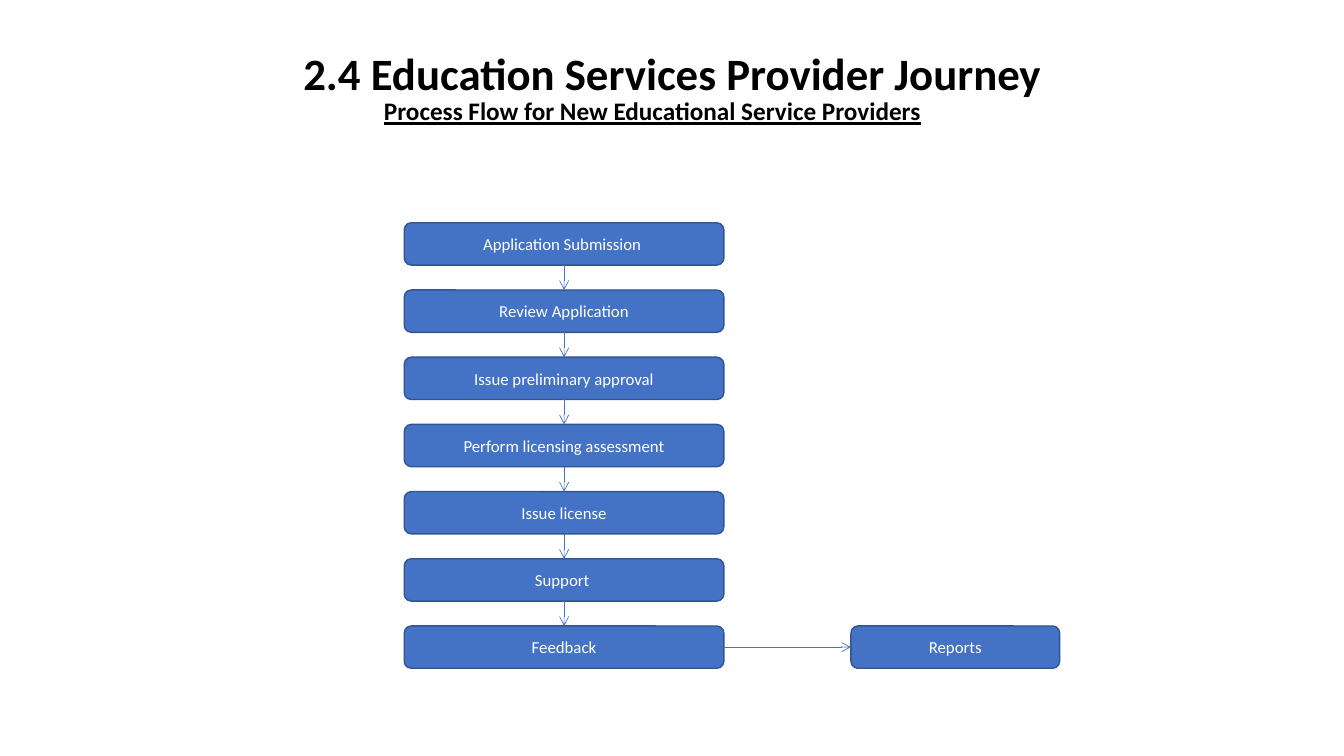
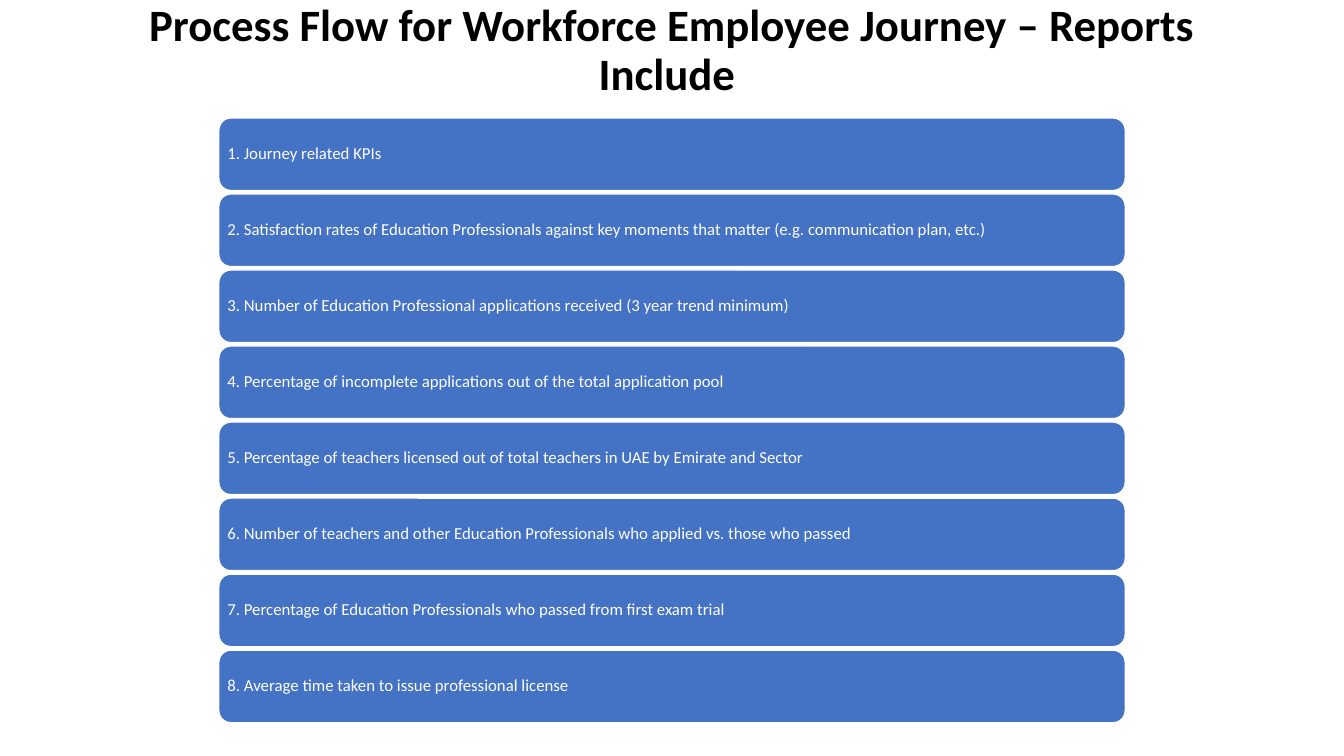
from dataclasses import dataclass

from lxml import etree
from pptx import Presentation, util as u
from pptx.dml.color import RGBColor
from pptx.enum import shapes, text
from pptx.oxml.ns import qn


@dataclass(frozen=True)
class Theme:
    font: str = "Calibri"
    blue: str = "4472C4"
    navy: str = "325491"
    white: str = "FFFFFF"
    black: str = "000000"
    head: int = 32
    sub: int = 18
    body: int = 12


theme = Theme()


def write(shape, words, size=theme.body, color=theme.white, bold=False, under=False,
          align=text.PP_ALIGN.CENTER, anchor=text.MSO_ANCHOR.MIDDLE,
          pad=(0.1, 0.05), space=1.0, wrap=True):
    frame = shape.text_frame
    frame.word_wrap = wrap
    frame.vertical_anchor = anchor
    frame.margin_left = frame.margin_right = u.Inches(pad[0])
    frame.margin_top = frame.margin_bottom = u.Inches(pad[1])
    para = frame.paragraphs[0]
    para.alignment = align
    para.line_spacing = space
    run = para.add_run()
    run.text = words
    font = run.font
    font.name, font.size = theme.font, u.Pt(size)
    font.bold, font.underline = bold, under
    font.color.rgb = RGBColor.from_string(color)


def card(page, words, at, edge, **style):
    box = page.shapes.add_shape(shapes.MSO_SHAPE.ROUNDED_RECTANGLE, *map(u.Inches, at))
    box.shadow.inherit = False
    box.fill.solid()
    box.fill.fore_color.rgb = RGBColor.from_string(theme.blue)
    box.line.color.rgb = RGBColor.from_string(edge)
    box.line.width = u.Pt(1)
    write(box, words, **style)
    return box


deck = Presentation()
deck.slide_width, deck.slide_height = u.Inches(13.33), u.Inches(7.5)

heads = [
    ("2.4 Education Services Provider Journey", 0.92, 11.5),
    ("Process Flow for Workforce Employee Journey – Reports Include ", 0.78, 11.77),
]
pages = []
for words, left, width in heads:
    page = deck.slides.add_slide(deck.slide_layouts[6])
    title = page.shapes.add_textbox(*map(u.Inches, (left, 0, width, 1.04)))
    write(title, words, size=theme.head, color=theme.black, bold=True,
          anchor=text.MSO_ANCHOR.BOTTOM, space=0.9)
    pages.append(page)
flow, list_page = pages

sub = flow.shapes.add_textbox(*map(u.Inches, (3.71, 0.9, 5.57, 0.4)))
write(sub, "Process Flow for New Educational Service Providers", size=theme.sub,
      color=theme.black, bold=True, under=True, align=text.PP_ALIGN.LEFT,
      anchor=text.MSO_ANCHOR.TOP, wrap=False)

steps = [
    "Application Submission ",
    "Review Application",
    "Issue preliminary approval",
    "Perform licensing assessment",
    "Issue license",
    "Support ",
    "Feedback",
]
top, last, high = 2.21, 6.21, 0.42
pitch = (last - top) / (len(steps) - 1)
boxes = [card(flow, words, (4.01, top + i * pitch, 3.17, high), theme.navy)
         for i, words in enumerate(steps)]
report = card(flow, "Reports", (8.44, last, 2.07, high), theme.navy)

links = [(a, 2, b, 0) for a, b in zip(boxes, boxes[1:])]
links.append((boxes[-1], 3, report, 1))
for start, out, end, into in links:
    arrow = flow.shapes.add_connector(shapes.MSO_CONNECTOR.STRAIGHT, 0, 0, 0, 0)
    arrow.begin_connect(start, out)
    arrow.end_connect(end, into)
    arrow.line.color.rgb = RGBColor.from_string(theme.blue)
    arrow.line.width = u.Pt(0.5)
    etree.SubElement(arrow.line._get_or_add_ln(), qn("a:tailEnd"), type="arrow")
    etree.SubElement(arrow._element.spPr, qn("a:effectLst"))

items = [
    "Journey related KPIs",
    "Satisfaction rates of Education Professionals against key moments that matter "
    "(e.g. communication plan, etc.)",
    "Number of Education Professional applications received (3 year trend minimum)",
    "Percentage of incomplete applications out of the total application pool",
    "Percentage of teachers licensed out of total teachers in UAE by Emirate and Sector",
    "Number of teachers and other Education Professionals who applied vs. those who passed",
    "Percentage of Education Professionals who passed from first exam trial",
    "Average time taken to issue professional license",
]
top, last = 1.17, 6.45
pitch = (last - top) / (len(items) - 1)
for i, words in enumerate(items):
    card(list_page, f"{i + 1}. {words}", (2.17, top + i * pitch, 8.99, 0.72), theme.white,
         align=text.PP_ALIGN.LEFT, pad=(0.05, 0.03), space=0.9)

deck.save("out.pptx")
